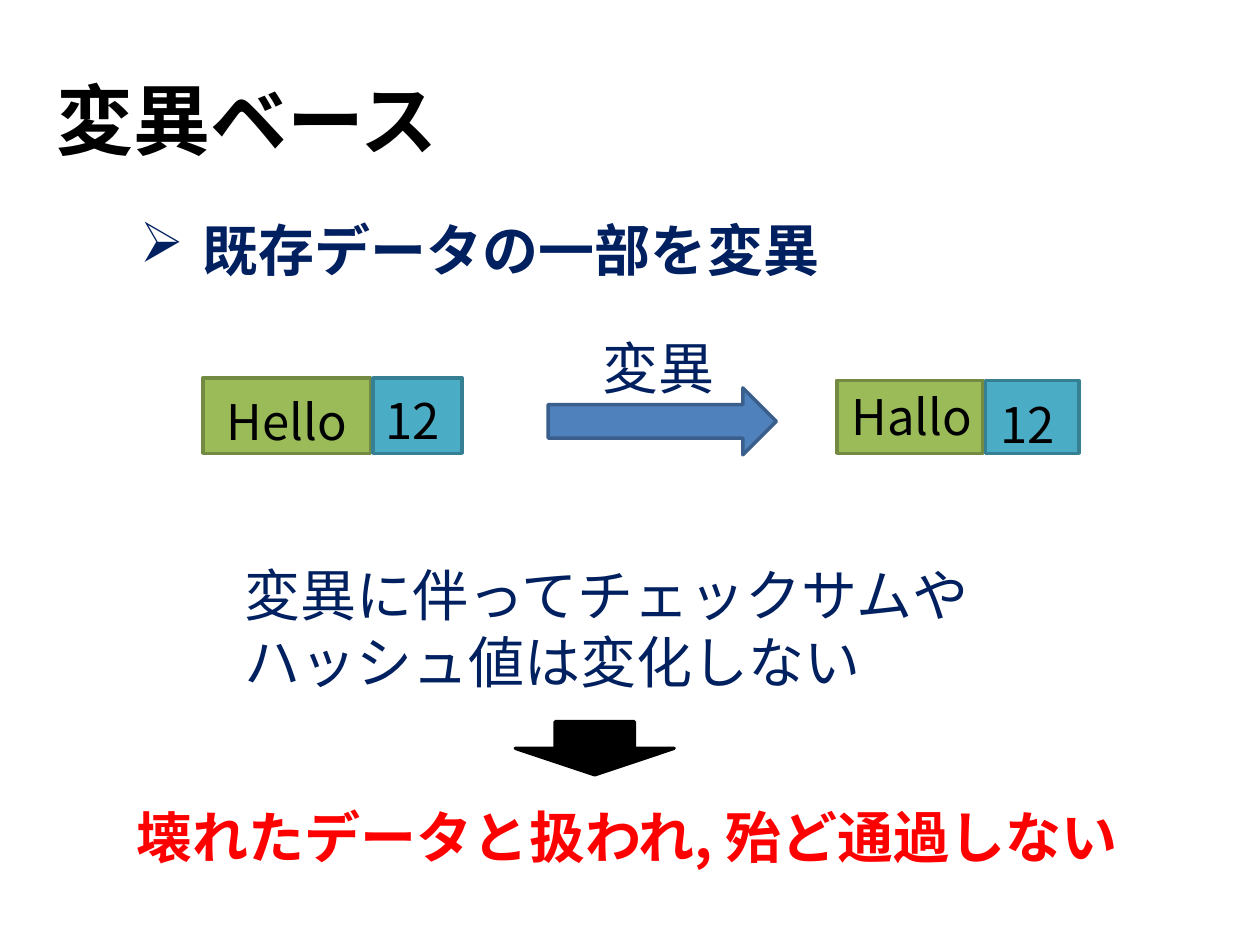
from lxml import etree
from pptx import Presentation
from pptx import util as u
from pptx.dml.color import RGBColor
from pptx.enum import shapes, text
from pptx.oxml.ns import qn

JAPANESE = "Noto Sans CJK JP"
NAVY, BLACK, RED = "002060", "000000", "FF0000"
GREEN, GREEN_EDGE = "9BBB59", "738A42"
TEAL, TEAL_EDGE = "4BACC6", "377F92"
BLUE, BLUE_EDGE = "4F81BD", "3A5F8C"


def colour(value):
    """Turn a hex string into a colour."""
    return RGBColor.from_string(value)


def place(box):
    """Convert left, top, width and height in centimetres."""
    return [u.Cm(length) for length in box]


def add_run(paragraph, words, size, tint, bold=False, font=JAPANESE):
    """Add one formatted run to a paragraph."""
    run = paragraph.add_run()
    run.text = words
    run.font.size = u.Pt(size)
    run.font.bold = bold
    run.font.name = font
    run.font.color.rgb = colour(tint)
    east_asian = etree.SubElement(run._r.get_or_add_rPr(), qn("a:ea"))
    east_asian.set("typeface", JAPANESE)


def add_label(parent, box, words, size=32, tint=NAVY, bold=False, wrap=True):
    """Add a text box with one run and return its paragraph."""
    frame = parent.add_textbox(*place(box)).text_frame
    frame.word_wrap = wrap
    frame.auto_size = text.MSO_AUTO_SIZE.SHAPE_TO_FIT_TEXT
    paragraph = frame.paragraphs[0]
    add_run(paragraph, words, size, tint, bold)
    return paragraph


def indent(paragraph, margin, first=0, bullet=None):
    """Set the indents of a paragraph and its optional bullet."""
    properties = paragraph._p.get_or_add_pPr()
    properties.set("marL", str(u.Cm(margin)))
    properties.set("indent", str(u.Cm(first)))
    if bullet:
        etree.SubElement(properties, qn("a:buChar")).set("char", bullet)


def add_block(parent, kind, box, fill, edge):
    """Add a filled and outlined preset shape."""
    block = parent.add_shape(kind, *place(box))
    block.shadow.inherit = False
    block.fill.solid()
    block.fill.fore_color.rgb = colour(fill)
    block.line.color.rgb = colour(edge)
    block.line.width = u.Pt(2)


def add_record(parent, left, top, widths, height, gap):
    """Add a record made of a green data cell and a teal length cell."""
    cell = shapes.MSO_SHAPE.RECTANGLE
    data, length = widths
    add_block(parent, cell, (left, top, data, height), GREEN, GREEN_EDGE)
    add_block(parent, cell, (left + data + gap, top, length, height), TEAL, TEAL_EDGE)


def add_title(slide, words):
    """Place and fill the title placeholder."""
    title = slide.shapes.title
    title.left, title.top, title.width, title.height = place((0.89, 0.91, 25.4, 2.97))
    title.text_frame.vertical_anchor = text.MSO_ANCHOR.MIDDLE
    paragraph = title.text_frame.paragraphs[0]
    paragraph.alignment = text.PP_ALIGN.LEFT
    add_run(paragraph, words, 44, BLACK, True, "Arial")


def add_mutation(slide):
    """Draw the record before and after mutation with the arrow between."""
    group = slide.shapes.add_group_shape().shapes
    add_record(group, 16.87, 7.67, (2.95, 1.88), 1.47, 0.05)
    add_record(group, 4.09, 7.62, (3.38, 1.8), 1.52, 0.05)
    add_block(group, shapes.MSO_SHAPE.RIGHT_ARROW, (11.05, 7.82, 4.6, 1.35), BLUE, BLUE_EDGE)
    for words, box in (
        ("Hello", (4.32, 7.77, 4.67, 1.45)),
        ("12", (7.52, 7.75, 2.18, 1.45)),
        ("Hallo", (16.92, 7.67, 6.17, 1.45)),
        ("12", (19.91, 7.82, 4.22, 1.45)),
    ):
        add_label(group, box, words, 28, BLACK)
    add_label(group, (11.89, 6.6, 2.79, 1.63), "変異", wrap=False)


def main():
    """Build the slide and save it."""
    deck = Presentation()
    deck.slide_width, deck.slide_height = u.Cm(25.4), u.Cm(19.05)
    slide = deck.slides.add_slide(deck.slide_layouts[5])
    add_title(slide, "変異ベース")
    heading = add_label(slide.shapes, (2.57, 4.22, 14.33, 1.63),
                        "既存データの一部を変異", bold=True, wrap=False)
    indent(heading, 1.27, -1.27, "➢")
    add_label(slide.shapes, (2.51, 16.05, 29.41, 3),
              "壊れたデータと扱われ, 殆ど通過しない", tint=RED, bold=True)
    reason = add_label(slide.shapes, (3.4, 11.18, 17.2, 3),
                       "変異に伴ってチェックサムやハッシュ値は変化しない")
    indent(reason, 1.27)
    add_block(slide.shapes, shapes.MSO_SHAPE.DOWN_ARROW, (10.39, 14.55, 3.2, 1.07), BLACK, BLACK)
    add_mutation(slide)
    deck.save("out.pptx")


if __name__ == "__main__":
    main()
